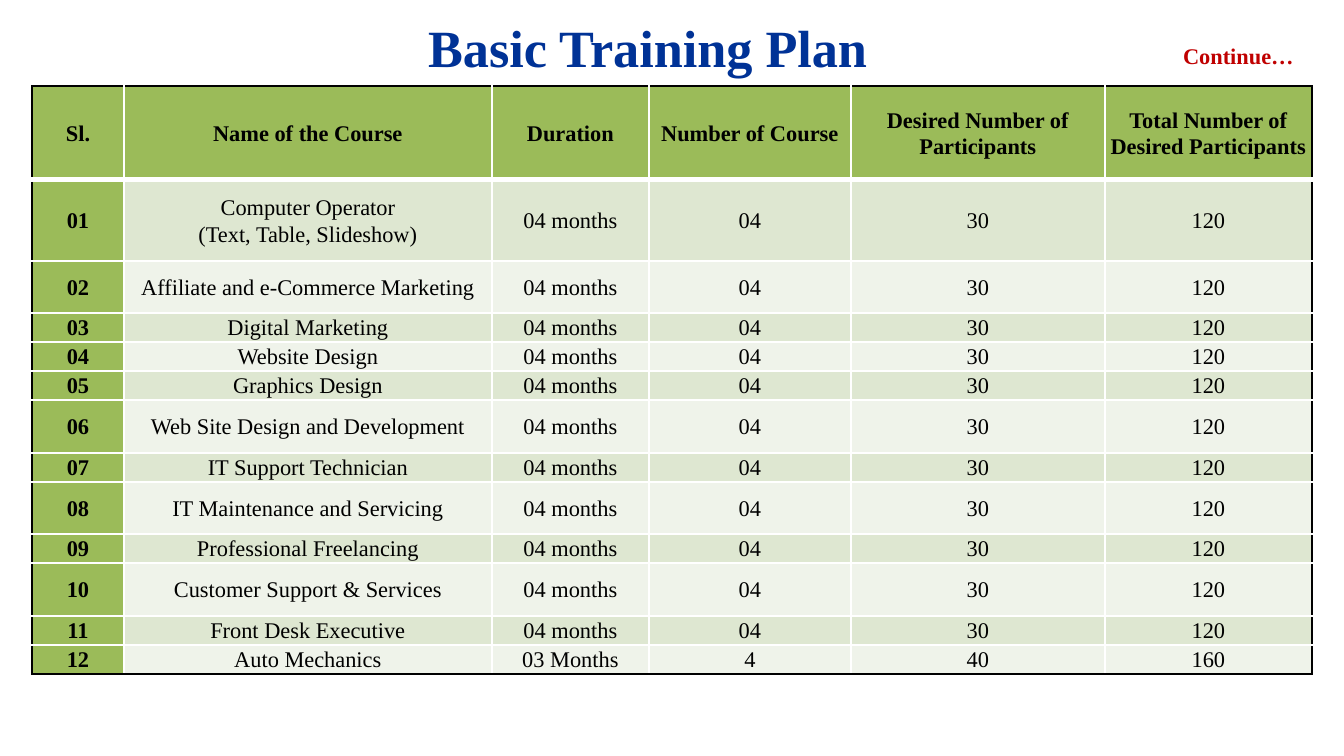
"""Build the Basic Training Plan slide with its course table."""
import pptx
import pptx.enum.text
import pptx.oxml
import pptx.oxml.ns
import pptx.util

PX = 914400 / 134.4
ALIGN = pptx.enum.text.PP_ALIGN
MIDDLE = pptx.enum.text.MSO_ANCHOR.MIDDLE
GREEN, WHITE, BLACK = "9BBB59", "FFFFFF", "000000"
BANDS = ["EFF3EA", "DEE7D1"]


def paint(fill, color):
    fill.solid()
    fill.fore_color.rgb = pptx.dml.color.RGBColor.from_string(color)


def write(frame, text, size=12, color=BLACK, bold=True, align=ALIGN.CENTER, space=None):
    frame.text = text
    for para in frame.paragraphs:
        para.alignment = align
        para.line_spacing = space
        for run in para.runs:
            run.font.name = "Times New Roman"
            run.font.size = pptx.util.Pt(size)
            run.font.bold = bold
            paint(run.font.fill, color)


deck = pptx.Presentation()
deck.slide_width = round(1344 * PX)
deck.slide_height = round(756 * PX)
slide = deck.slides.add_slide(deck.slide_layouts[6])

title = slide.shapes.add_textbox(*[round(n * PX) for n in (415, 9, 512, 77)])
write(title.text_frame, "Basic Training Plan", size=28, color="003296", align=ALIGN.LEFT)

heads = ["Sl.", "Name of the Course", "Duration", "Number of Course",
         "Desired Number of Participants", "Total Number of Desired Participants"]
names = ["Computer Operator\n(Text, Table, Slideshow)", "Affiliate and e-Commerce Marketing",
         "Digital Marketing", "Website Design", "Graphics Design",
         "Web Site Design and Development", "IT Support Technician",
         "IT Maintenance and Servicing", "Professional Freelancing",
         "Customer Support & Services", "Front Desk Executive"]
rows = [heads]
for num, name in enumerate(names, 1):
    rows.append([f"{num:02}", name, "04 months", "04", "30", "120"])
rows.append(["12", "Auto Mechanics", "03 Months", "4", "40", "160"])

wides = [92, 368, 157, 202, 254, 207]
highs = [94, 81, 52, 29, 29, 29, 53, 29, 52, 29, 53, 29, 29]
box = [round(n * PX) for n in (32, 86, sum(wides), sum(highs))]
table = slide.shapes.add_table(len(rows), len(wides), *box).table
table.first_row = table.horz_banding = False
for col, wide in zip(table.columns, wides):
    col.width = round(wide * PX)
for row, high in zip(table.rows, highs):
    row.height = round(high * PX)

last_row, last_col = len(rows) - 1, len(wides) - 1
for r, row in enumerate(rows):
    for c, text in enumerate(row):
        cell = table.cell(r, c)
        cell.vertical_anchor = MIDDLE
        cell.margin_left = cell.margin_right = round(4 * PX)
        cell.margin_top = cell.margin_bottom = 0
        head = r == 0 or c == 0
        write(cell.text_frame, text, bold=head, space=1.07)
        edges = [("L", c == 0, 1), ("R", c == last_col, 1),
                 ("T", r == 0, 3 if r == 1 else 1), ("B", r == last_row, 3 if r == 0 else 1)]
        for side, outer, width in edges:
            cell._tc.get_or_add_tcPr().append(pptx.oxml.parse_xml(
                f'<a:ln{side} {pptx.oxml.ns.nsdecls("a")} w="{width * 12700}"><a:solidFill>'
                f'<a:srgbClr val="{BLACK if outer else WHITE}"/></a:solidFill></a:ln{side}>'))
        paint(cell.fill, GREEN if head else BANDS[r % 2])

more = slide.shapes.add_textbox(*[round(n * PX) for n in (1165, 42, 147, 28)])
more.text_frame.word_wrap = True
more.text_frame.vertical_anchor = MIDDLE
write(more.text_frame, "Continue…", color="C00000")

deck.save("out.pptx")
